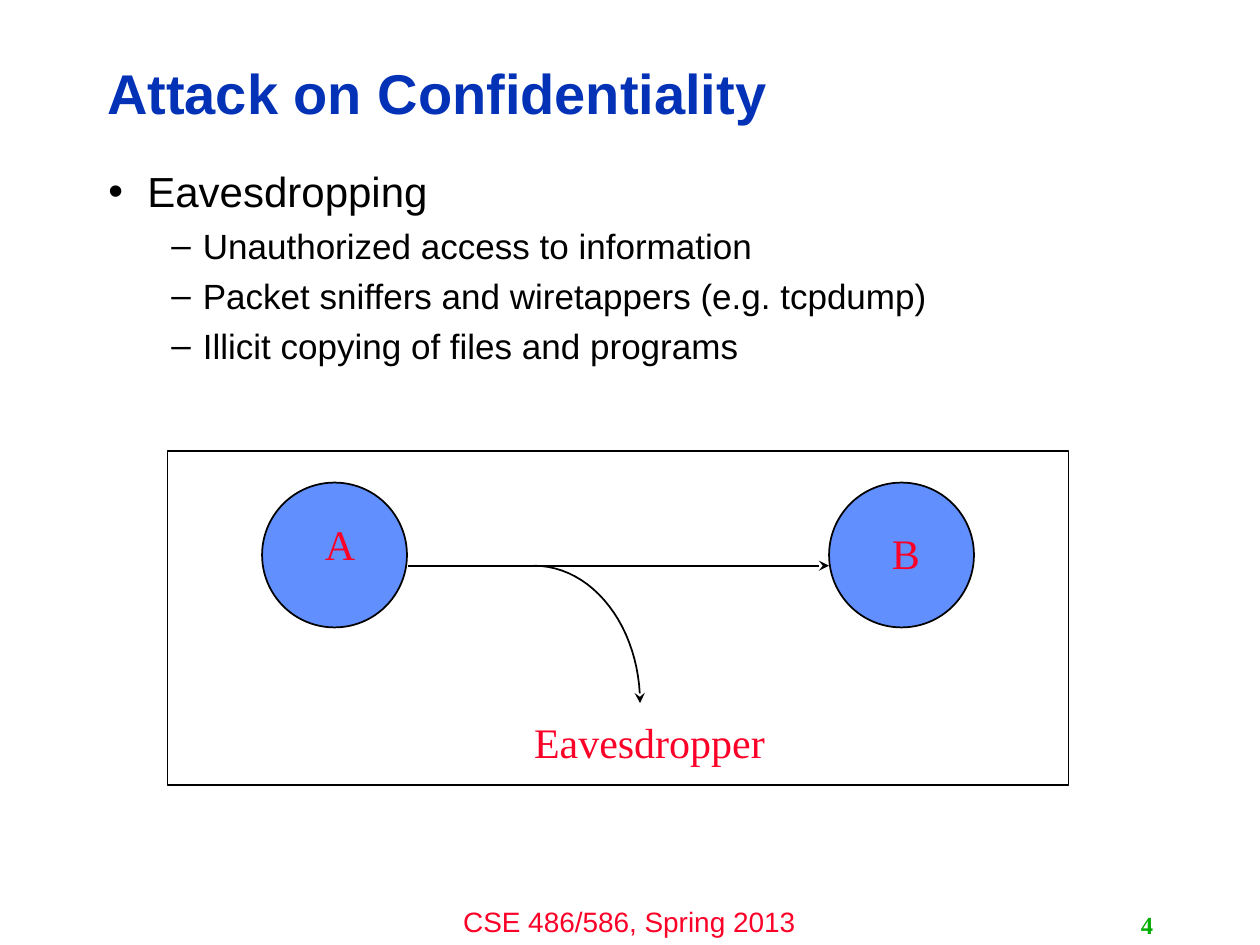
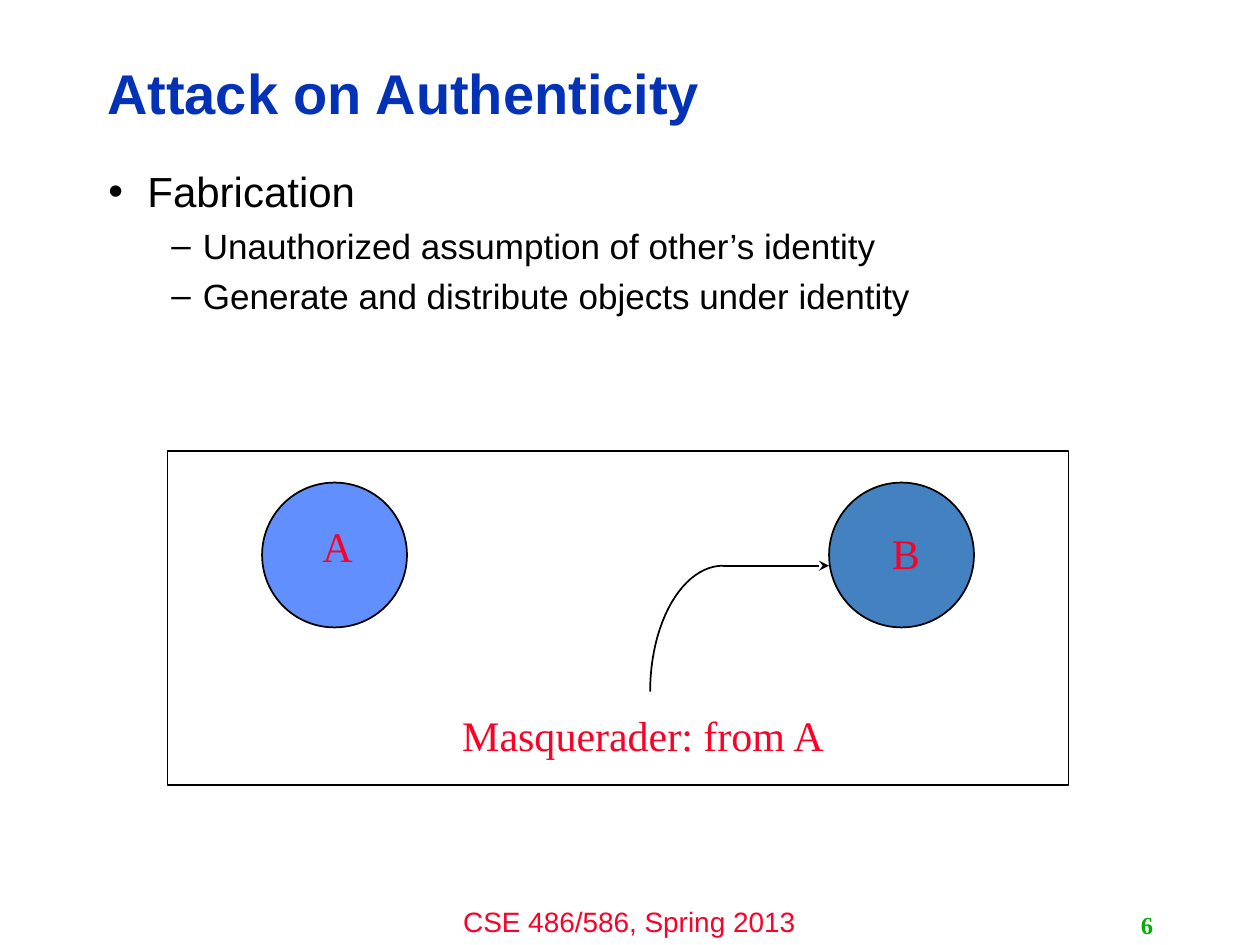
import math
from lxml import etree
from pptx import Presentation
from pptx.dml.color import RGBColor
from pptx.enum import shapes, text
from pptx.oxml import ns
from pptx.util import Inches, Pt

COLORS = {"title": "0332B7", "ink": "000000", "red": "FC0128", "number": "00AE00",
          "paper": "FFFFFF", "node": "618FFD", "node_dark": "4381C0"}
SANS, SERIF = "Arial", "Times New Roman"
FOOTER = "CSE 486/586, Spring 2013"
WIRE_Y = 4.49
NODE_Y, NODE_SIZE = 3.83, 1.15
NODE_A_X, NODE_B_X = 2.08, 6.58

SLIDES = [
    {"title": "Attack on Confidentiality", "number": "4",
     "bullets": [(0, "Eavesdropping"),
                 (1, "Unauthorized access to information"),
                 (1, "Packet sniffers and wiretappers (e.g. tcpdump)"),
                 (1, "Illicit copying of files and programs")],
     "nodes": [(NODE_A_X, "node"), (NODE_B_X, "node")],
     "wire_start": 3.24,
     "curve": {"center": (4.24, 5.58), "radii": (0.84, 1.09), "start": 90, "end": 0,
               "arrow": True},
     "labels": [("A", (2.48, 4.07, 0.44, 0.5)),
                ("B", (6.98, 4.14, 0.42, 0.5)),
                ("Eavesdropper", (4.14, 5.64, 2.03, 0.5))]},
    {"title": "Attack on Authenticity", "number": "6",
     "bullets": [(0, "Fabrication"),
                 (1, "Unauthorized assumption of other’s identity"),
                 (1, "Generate and distribute objects under identity")],
     "nodes": [(NODE_A_X, "node"), (NODE_B_X, "node_dark")],
     "wire_start": 5.74,
     "curve": {"center": (5.74, 5.49), "radii": (0.58, 1), "start": 180, "end": 90,
               "arrow": False},
     "labels": [("A", (2.46, 4.08, 0.44, 0.5)),
                ("B", (6.98, 4.14, 0.42, 0.5)),
                ("Masquerader: from A", (3.57, 5.58, 3.75, 0.51))]},
]

LEVELS = [{"size": 24, "bullet": "•", "left": 0.31, "hang": 0.31},
          {"size": 20, "bullet": "–", "left": 0.75, "hang": 0.25}]


def rgb(name):
    return RGBColor.from_string(COLORS[name])


def add_run(p, words, size, font, color, bold=False):
    r = p.add_run()
    r.text = words
    r.font.size, r.font.name, r.font.bold = Pt(size), font, bold
    r.font.color.rgb = rgb(color)


def place(sp, box):
    sp.left, sp.top, sp.width, sp.height = map(Inches, box)


def add_label(s, words, box, size, font, color, bold=False, align=None, wrap=False):
    sp = s.shapes.add_textbox(*map(Inches, box))
    tf = sp.text_frame
    tf.word_wrap = wrap
    p = tf.paragraphs[0]
    p.alignment = align or text.PP_ALIGN.LEFT
    add_run(p, words, size, font, color, bold)
    return tf


def add_shape(s, kind, box, fill):
    sp = s.shapes.add_shape(kind, *map(Inches, box))
    sp.shadow.inherit = False
    sp.fill.solid()
    sp.fill.fore_color.rgb = rgb(fill)
    style_line(sp)


def style_line(sp, arrow=False):
    sp.line.color.rgb = rgb("ink")
    sp.line.width = Pt(1)
    if arrow:
        etree.SubElement(sp.line._get_or_add_ln(), ns.qn("a:tailEnd"), type="stealth")


def add_wire(s, start, end):
    sp = s.shapes.add_connector(shapes.MSO_CONNECTOR.STRAIGHT, Inches(start), Inches(WIRE_Y),
                                Inches(end), Inches(WIRE_Y))
    style_line(sp, arrow=True)
    etree.SubElement(sp._element.spPr, ns.qn("a:effectLst"))


def add_curve(s, center, radii, start, end, arrow, steps=24):
    points = []
    for i in range(steps + 1):
        angle = math.radians(start + (end - start) * i / steps)
        points.append((Inches(center[0] + radii[0] * math.cos(angle)),
                       Inches(center[1] - radii[1] * math.sin(angle))))
    builder = s.shapes.build_freeform(*points[0])
    builder.add_line_segments(points[1:], close=False)
    sp = builder.convert_to_shape()
    sp.shadow.inherit = False
    sp.fill.background()
    style_line(sp, arrow)


def fill_title(s, words):
    sp = s.shapes.title
    place(sp, (0.75, 0.36, 7.98, 0.81))
    tf = sp.text_frame
    tf.auto_size = text.MSO_AUTO_SIZE.NONE
    tf.vertical_anchor = text.MSO_ANCHOR.MIDDLE
    p = tf.paragraphs[0]
    p.alignment, p.line_spacing = text.PP_ALIGN.LEFT, 0.9
    add_run(p, words, 32, SANS, "title", True)


def fill_body(s, bullets):
    sp = s.placeholders[1]
    place(sp, (0.76, 1.31, 8.4, 5.39))
    tf = sp.text_frame
    tf.auto_size = text.MSO_AUTO_SIZE.NONE
    for i, (level, words) in enumerate(bullets):
        p = tf.add_paragraph() if i else tf.paragraphs[0]
        look = LEVELS[level]
        p.level, p.line_spacing = level, 0.9
        p.space_before = Pt(7 if i else 0)
        pPr = p._p.get_or_add_pPr()
        pPr.set("marL", str(Inches(look["left"])))
        pPr.set("indent", str(-Inches(look["hang"])))
        etree.SubElement(pPr, ns.qn("a:buChar"), char=look["bullet"])
        add_run(p, words, look["size"], SANS, "ink")


def add_diagram(s, content):
    add_shape(s, shapes.MSO_SHAPE.RECTANGLE, (1.33, 3.58, 7.15, 2.65), "paper")
    for x, fill in content["nodes"]:
        add_shape(s, shapes.MSO_SHAPE.OVAL, (x, NODE_Y, NODE_SIZE, NODE_SIZE), fill)
    add_wire(s, content["wire_start"], NODE_B_X)
    add_curve(s, **content["curve"])
    for words, box in content["labels"]:
        add_label(s, words, box, 24, SERIF, "red")


def add_footer(s, number):
    add_label(s, FOOTER, (3.33, 7.13, 3.33, 0.37), 16, SANS, "red",
              align=text.PP_ALIGN.CENTER, wrap=True)
    tf = add_label(s, number, (7.17, 7.18, 2.08, 0.32), 14, SERIF, "number", True,
                   text.PP_ALIGN.RIGHT, True)
    tf.vertical_anchor = text.MSO_ANCHOR.MIDDLE


def main():
    prs = Presentation()
    prs.slide_width, prs.slide_height = Inches(10), Inches(7.5)
    for content in SLIDES:
        s = prs.slides.add_slide(prs.slide_layouts[1])
        fill_title(s, content["title"])
        fill_body(s, content["bullets"])
        add_diagram(s, content)
        add_footer(s, content["number"])
    prs.save("out.pptx")


if __name__ == "__main__":
    main()
